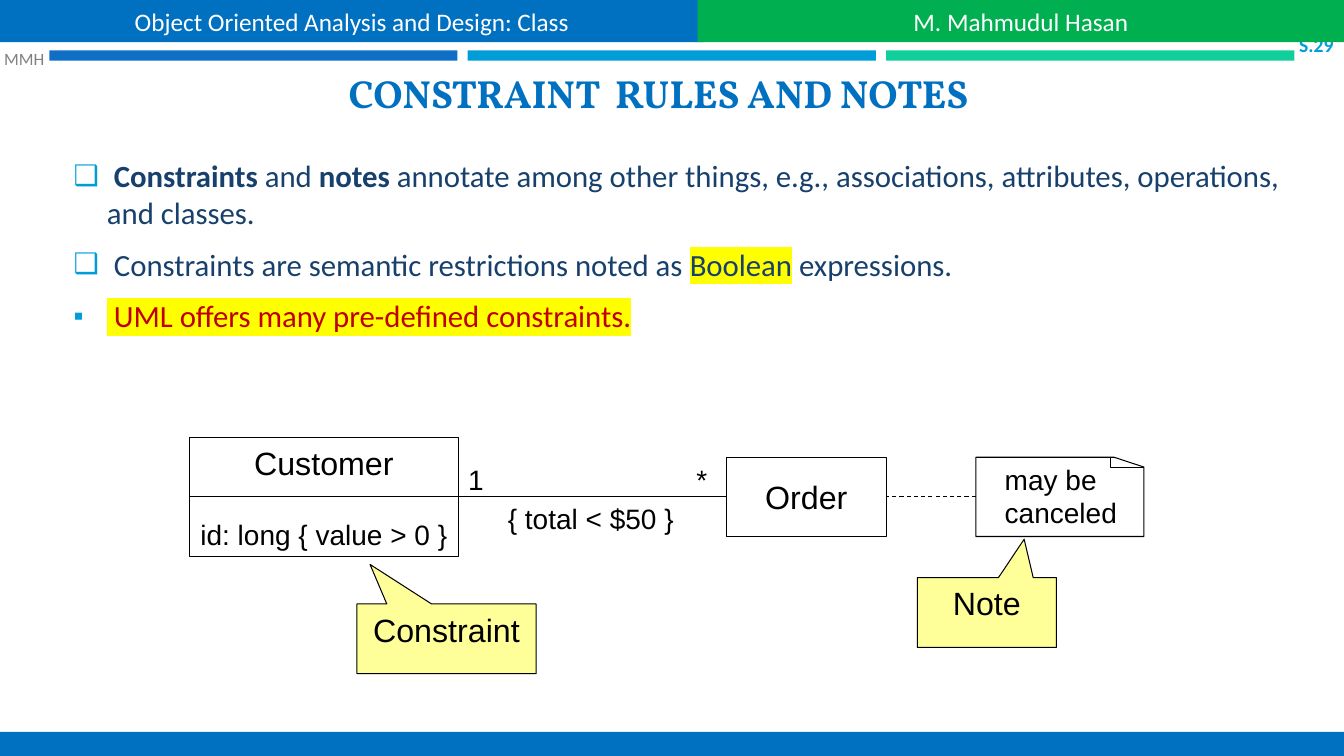
import pptx
import pptx.util
import pptx.dml.color
import pptx.enum.dml
import pptx.enum.shapes
import pptx.enum.text
import pptx.oxml.ns
import lxml.etree

Pt = pptx.util.Pt
RGBColor = pptx.dml.color.RGBColor
Shape = pptx.enum.shapes.MSO_SHAPE
Connector = pptx.enum.shapes.MSO_CONNECTOR
Align = pptx.enum.text.PP_ALIGN
Anchor = pptx.enum.text.MSO_ANCHOR
AutoSize = pptx.enum.text.MSO_AUTO_SIZE
qn = pptx.oxml.ns.qn

BLACK = RGBColor(0x00, 0x00, 0x00)
WHITE = RGBColor(0xFF, 0xFF, 0xFF)
GREY = RGBColor(0x80, 0x80, 0x80)
BLUE = RGBColor(0x00, 0x70, 0xC0)
GREEN = RGBColor(0x00, 0xB0, 0x50)
DEEP_BLUE = RGBColor(0x0F, 0x6F, 0xC6)
SKY = RGBColor(0x00, 0x9D, 0xD9)
MINT = RGBColor(0x10, 0xCF, 0x9B)
NAVY = RGBColor(0x17, 0x40, 0x6D)
RED = RGBColor(0xC0, 0x00, 0x00)
YELLOW = RGBColor(0xFF, 0xFF, 0x00)
PALE_YELLOW = RGBColor(0xFF, 0xFF, 0x99)

# Content
TITLE = "CONSTRAINT  RULES AND NOTES"
BULLETS = [  # mark, spans of (text, bold, colour, highlight)
    ("❑", [(" Constraints", True, NAVY, None), (" and ", False, NAVY, None),
           ("notes", True, NAVY, None),
           (" annotate among other things, e.g., associations, attributes, "
            "operations, and classes.", False, NAVY, None)]),
    ("❑", [(" Constraints are semantic restrictions noted as ", False, NAVY, None),
           ("Boolean", False, NAVY, YELLOW), (" expressions.", False, NAVY, None)]),
    ("▪", [(" UML offers many pre-defined constraints.", False, RED, YELLOW)]),
]
HEADERS = [  # text, left, width, fill
    ("Object Oriented Analysis and Design: Class", 0, 502.6, BLUE),
    ("M. Mahmudul Hasan", 498.4, 461.6, GREEN),
]
STRIPES = [DEEP_BLUE, SKY, MINT]
CALLOUTS = [  # text, left, top, width, height, pointer
    ("Constraint", 255, 431.4, 128, 49.8, (-0.427, -1.068)),
    ("Note", 655.2, 412.6, 99.4, 49.8, (0.268, -1.051)),
]

# Diagram measures, all centred on one axis
AXIS = 354.9
CUSTOMER_LEFT, CUSTOMER_WIDTH, CUSTOMER_HEIGHT = 135.4, 192, 85
ORDER_LEFT, ORDER_WIDTH = 519, 114
NOTE_LEFT, NOTE_WIDTH = 697, 120
BOX_HEIGHT = 56.6
FOLD_WIDTH, FOLD_HEIGHT = 21.2, 7
CUSTOMER_TOP = AXIS - CUSTOMER_HEIGHT / 2
BOX_TOP = AXIS - BOX_HEIGHT / 2
LABELS = [  # text, left, top, width
    ("*", 490.3, BOX_TOP, 22.3),
    ("1", CUSTOMER_LEFT + CUSTOMER_WIDTH, BOX_TOP, 25.9),
    ("{ total < $50 }", 355.7, AXIS, 133.9),
]

deck = pptx.Presentation()
deck.slide_width, deck.slide_height = Pt(960), Pt(540)
page = deck.slides.add_slide(deck.slide_layouts[1])
shapes = page.shapes


def apply(target, values):
    for name, value in values.items():
        setattr(target, name, value)


def add_span(para, text, size, font, color, bold=False):
    span = para.add_run()
    span.text = text
    apply(span.font, {"size": Pt(size), "name": font, "bold": bold})
    span.font.color.rgb = color
    return span


def write(shape, text, size, font, color, align=Align.CENTER, bold=False, **frame):
    values = {"word_wrap": True, "auto_size": AutoSize.NONE,
              "vertical_anchor": Anchor.MIDDLE}
    apply(shape.text_frame, values | frame)
    para = shape.text_frame.paragraphs[0]
    para.alignment = align
    add_span(para, text, size, font, color, bold)


def outline(shape):
    shape.line.color.rgb = BLACK
    shape.line.width = Pt(0.75)


def add_box(left, top, width, height, fill=None, line=False, kind=Shape.RECTANGLE):
    box = shapes.add_shape(kind, Pt(left), Pt(top), Pt(width), Pt(height))
    box.shadow.inherit = False
    if fill is None:
        box.fill.background()
    else:
        box.fill.solid()
        box.fill.fore_color.rgb = fill
    if line:
        outline(box)
    else:
        box.line.fill.background()
    return box


def add_text(left, top, width, height, *words, **frame):
    box = shapes.add_textbox(Pt(left), Pt(top), Pt(width), Pt(height))
    write(box, *words, **frame)
    return box


def add_line(x1, y1, x2, y2, kind=Connector.STRAIGHT):
    line = shapes.add_connector(kind, Pt(x1), Pt(y1), Pt(x2), Pt(y2))
    outline(line)
    lxml.etree.SubElement(line.element.spPr, qn("a:effectLst"))
    return line


def add_bullet(para, mark):
    properties = para._p.get_or_add_pPr()
    properties.set("marL", str(Pt(23.8)))
    properties.set("indent", str(-Pt(23.8)))
    color = lxml.etree.SubElement(properties, qn("a:buClr"))
    lxml.etree.SubElement(color, qn("a:srgbClr"), val=str(SKY))
    lxml.etree.SubElement(properties, qn("a:buSzPct"), val="92000")
    lxml.etree.SubElement(properties, qn("a:buChar"), char=mark)


def highlight(span, color):
    mark = lxml.etree.Element(qn("a:highlight"))
    lxml.etree.SubElement(mark, qn("a:srgbClr"), val=str(color))
    span._r.find(".//" + qn("a:solidFill")).addnext(mark)


# Title and bullet list
title = shapes.title
apply(title, {"left": Pt(36), "top": Pt(46), "width": Pt(868.4), "height": Pt(41)})
write(title, TITLE, 28, "Vollkorn", BLUE, bold=True, vertical_anchor=Anchor.BOTTOM)

body = page.placeholders[1]
apply(body, {"left": Pt(45.4), "top": Pt(91.4), "width": Pt(900), "height": Pt(163.4)})
apply(body.text_frame, {"word_wrap": True, "auto_size": AutoSize.NONE,
                        "vertical_anchor": Anchor.MIDDLE, "margin_top": Pt(8)})
for number, (mark, spans) in enumerate(BULLETS):
    para = body.text_frame.add_paragraph() if number else body.text_frame.paragraphs[0]
    add_bullet(para, mark)
    apply(para, {"space_before": Pt(4.4 if number else 0), "space_after": Pt(6)})
    for text, bold, color, back in spans:
        span = add_span(para, text, 22, "Calibri", color, bold)
        if back is not None:
            highlight(span, back)

# Stripes, page number, initials, header and footer bars
for number, color in enumerate(STRIPES):
    add_box(35.2 + number * 298.9, 36, 291.6, 7.4, color)
page_number = add_text(933.1, 13, 15.1, 38.2, "S.29", 14, "Calibri", SKY, Align.RIGHT,
                       True, margin_left=0, margin_right=0, margin_bottom=0,
                       margin_top=Pt(7.2))
page_number.rotation = 90
page_number.element.find(".//" + qn("a:bodyPr")).set("vert", "vert270")
add_text(0, 31, 41, 21.6, "MMH", 12.3, "Calibri", GREY, Align.LEFT,
         margin_left=Pt(3), margin_right=0)
for text, left, width, color in HEADERS:
    write(add_box(left, 0, width, 30.2, color), text, 18, "Calibri", WHITE)
add_box(0, 522.7, 960, 17.3, BLUE)

# Classes
customer = add_box(CUSTOMER_LEFT, CUSTOMER_TOP, CUSTOMER_WIDTH, CUSTOMER_HEIGHT, line=True)
write(customer, "id: long { value > 0 }", 20, "Arial", BLACK,
      vertical_anchor=Anchor.BOTTOM, word_wrap=False)
add_text(CUSTOMER_LEFT, CUSTOMER_TOP, CUSTOMER_WIDTH, 35.3, "Customer", 23, "Arial", BLACK,
         vertical_anchor=Anchor.BOTTOM)
order = add_box(ORDER_LEFT, BOX_TOP, ORDER_WIDTH, BOX_HEIGHT, line=True)
write(order, "Order", 23, "Arial", BLACK, word_wrap=False)

# Divider and association
customer_right, order_right = CUSTOMER_LEFT + CUSTOMER_WIDTH, ORDER_LEFT + ORDER_WIDTH
divider = add_line(CUSTOMER_LEFT, AXIS, customer_right, AXIS)
divider.begin_connect(customer, 1)
divider.end_connect(customer, 3)
association = add_line(customer_right, AXIS, ORDER_LEFT, AXIS)
association.begin_connect(customer, 3)
association.end_connect(order, 1)
for text, left, top, width in LABELS:
    add_text(left, top, width, 31.7, text, 20, "Arial", BLACK, Align.LEFT,
             word_wrap=False, vertical_anchor=Anchor.TOP)

# Note with folded corner
note_right, note_bottom = NOTE_LEFT + NOTE_WIDTH, BOX_TOP + BOX_HEIGHT
fold_left, fold_bottom = note_right - FOLD_WIDTH, BOX_TOP + FOLD_HEIGHT
corners = [(NOTE_LEFT, note_bottom), (note_right, note_bottom),
           (note_right, fold_bottom), (fold_left, BOX_TOP)]
builder = shapes.build_freeform(Pt(NOTE_LEFT), Pt(BOX_TOP))
builder.add_line_segments([(Pt(x), Pt(y)) for x, y in corners], close=True)
note = builder.convert_to_shape()
note.shadow.inherit = False
note.fill.background()
outline(note)
fold = add_line(fold_left, BOX_TOP, note_right, fold_bottom, Connector.ELBOW)
lxml.etree.SubElement(fold.element.find(".//" + qn("a:avLst")), qn("a:gd"),
                      name="adj1", fmla="val -12500")
add_text(710.6, BOX_TOP, 108, 62.6, "may be canceled", 20, "Arial", BLACK, Align.LEFT,
         vertical_anchor=Anchor.TOP)
note_link = add_line(NOTE_LEFT, AXIS, order_right, AXIS)
note_link.end_connect(order, 3)
note_link.line.dash_style = pptx.enum.dml.MSO_LINE.DASH

# Callouts
for text, left, top, width, height, pointer in CALLOUTS:
    callout = add_box(left, top, width, height, PALE_YELLOW, True,
                      Shape.RECTANGULAR_CALLOUT)
    callout.adjustments[0], callout.adjustments[1] = pointer
    write(callout, text, 23, "Arial", BLACK, vertical_anchor=Anchor.TOP,
          margin_left=Pt(8.6), margin_right=Pt(8.6), margin_top=Pt(4.3),
          margin_bottom=Pt(4.3))

deck.save("out.pptx")
